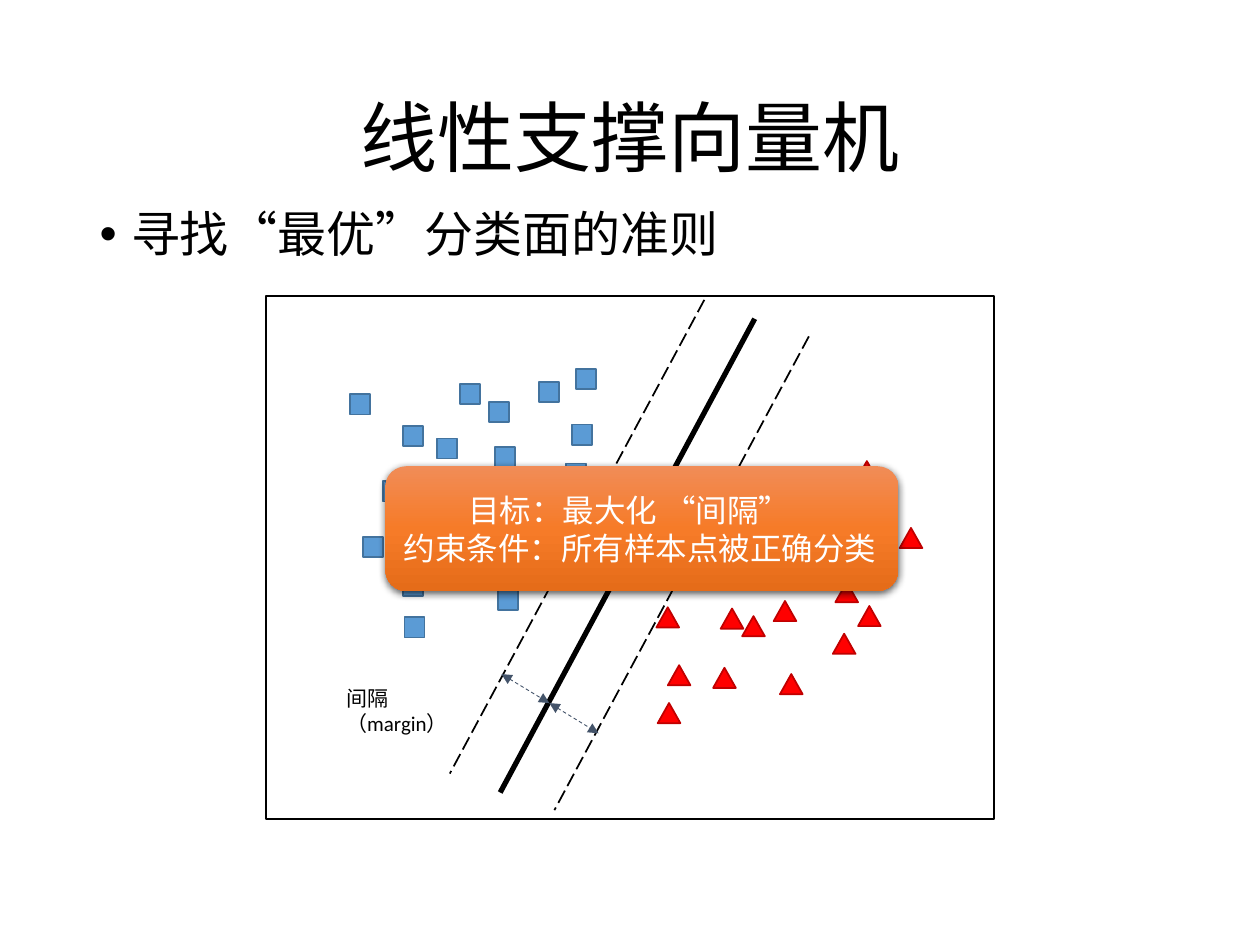
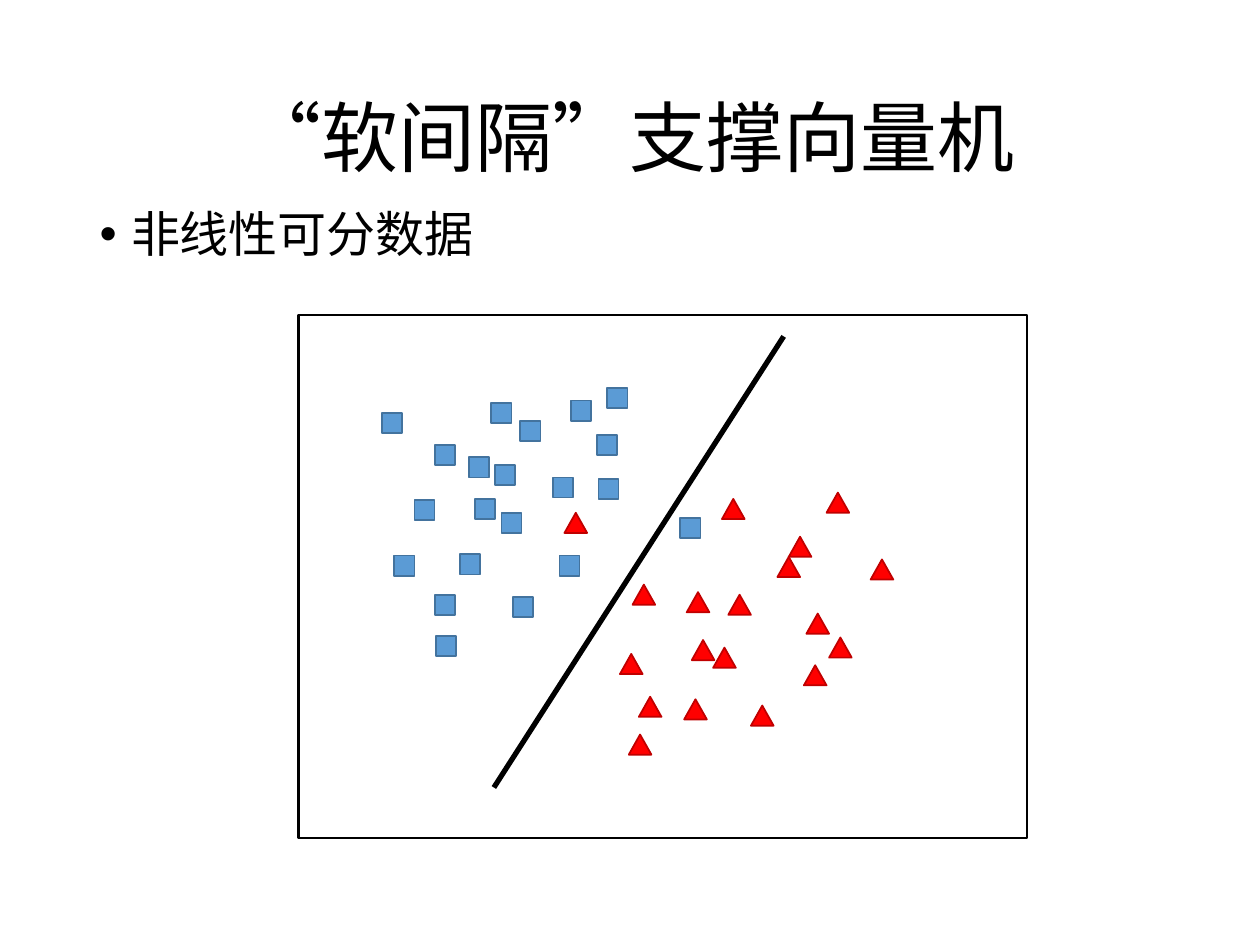
from lxml import etree
from pptx import Presentation, util as u
from pptx.dml.color import RGBColor
from pptx.enum import dml, shapes, text
from pptx.oxml import parse_xml
from pptx.oxml.ns import nsdecls, qn

PX = 9144  # 100 px to the inch
FONT = "Calibri"
BLACK, WHITE, SLATE = "000000", "FFFFFF", "44546A"
CALLOUT_STOPS = [(0, "F18C57"), (50, "F67B28"), (100, "E56C19")]

# Samples that keep their arrangement on both slides
SHARED_SQUARES = [
    (365, 305), (320, 338), (347, 348), (388, 319), (304, 382), (373, 392),
    (288, 426), (340, 425), (428, 303), (321, 490), (457, 293), (278, 313),
    (320, 457)]
SHARED_TRIANGLES = [
    (640, 417), (601, 447), (572, 483), (679, 366), (649, 401), (589, 489),
    (663, 462), (619, 535), (714, 419), (681, 481), (530, 528), (566, 530),
    (522, 558), (661, 503)]

SEPARABLE_SQUARES = [
    (355, 371), (395, 468), (415, 376), (449, 368), (403, 413), (393, 355),
    (454, 337), (430, 430)]
SEPARABLE_TRIANGLES = [
    (568, 393), (574, 437), (614, 477), (521, 482), (625, 371)]

MIXED_SQUARES = [
    (377, 396), (407, 474), (439, 379), (475, 380), (444, 441), (393, 369),
    (474, 345), (540, 411)]
MIXED_TRIANGLES = [
    (502, 464), (545, 470), (448, 407), (492, 519), (573, 396)]


def px(*lengths):
    return [u.Emu(length * PX) for length in lengths]


def colour(hex_code):
    return RGBColor.from_string(hex_code)


def style(paragraph, size, hex_code=BLACK):
    font = paragraph.font
    font.name, font.size = FONT, u.Pt(size)
    font.color.rgb = colour(hex_code)


def place(placeholder, left, top, width, height):
    placeholder.left, placeholder.top, placeholder.width, placeholder.height = px(
        left, top, width, height)


def add_topic_slide(prs, heading, point, body_height):
    slide = prs.slides.add_slide(prs.slide_layouts[1])
    title, body = slide.placeholders
    place(title, 69, 40, 862, 145)
    place(body, 69, 162, 862, body_height)
    title.text, body.text = heading, point
    title.text_frame.vertical_anchor = text.MSO_ANCHOR.MIDDLE

    heading_line, bullet = title.text_frame.paragraphs[0], body.text_frame.paragraphs[0]
    style(heading_line, 44)
    heading_line.alignment = text.PP_ALIGN.CENTER
    heading_line.line_spacing = bullet.line_spacing = 0.9
    style(bullet, 28)
    bullet.space_before = u.Pt(10)
    indent(bullet, 25, -25)
    return slide


def indent(paragraph, margin, first_line=0):
    properties = paragraph._p.get_or_add_pPr()
    properties.set("marL", str(margin * PX))
    properties.set("indent", str(first_line * PX))


def add_outlined(slide, preset, box, fill, line, weight):
    shape = slide.shapes.add_shape(preset, *px(*box))
    shape.shadow.inherit = False
    shape.fill.solid()
    shape.fill.fore_color.rgb = colour(fill)
    shape.line.color.rgb = colour(line)
    shape.line.width = u.Pt(weight)


def add_plot_frame(slide, left, top):
    add_outlined(slide, shapes.MSO_SHAPE.RECTANGLE, (left, top, 578, 415),
                 WHITE, BLACK, 1.5)


def add_squares(slide, points):
    for x, y in points:
        add_outlined(slide, shapes.MSO_SHAPE.RECTANGLE, (x, y, 16, 16),
                     "5B9BD5", "43739E", 1)


def add_triangles(slide, points):
    for x, y in points:
        add_outlined(slide, shapes.MSO_SHAPE.ISOSCELES_TRIANGLE, (x, y, 18, 16),
                     "FF0000", "C00000", 1)


def shifted(points, dx, dy):
    return [(x + dx, y + dy) for x, y in points]


def add_line(slide, start, end, weight, hex_code=BLACK, dash=None, arrows=False):
    connector = slide.shapes.add_connector(
        shapes.MSO_CONNECTOR.STRAIGHT, *px(*start, *end))
    connector.line.color.rgb = colour(hex_code)
    connector.line.width = u.Pt(weight)
    if dash:
        connector.line.dash_style = dash
    if arrows:
        outline = connector.line._get_or_add_ln()
        for end_tag in ("a:headEnd", "a:tailEnd"):
            etree.SubElement(outline, qn(end_tag), type="triangle")
    etree.SubElement(connector._element.spPr, qn("a:effectLst"))


def add_margin_label(slide):
    label = slide.shapes.add_textbox(*px(265, 539, 123, 30)).text_frame
    label.word_wrap = True
    label.auto_size = text.MSO_AUTO_SIZE.SHAPE_TO_FIT_TEXT
    label.text = "间隔（margin）"
    style(label.paragraphs[0], 12)


def add_gradient_and_shadow(shape):
    """Give the shape a vertical three-stop gradient and a soft drop shadow."""
    stops = "".join(
        f'<a:gs pos="{percent * 1000}"><a:srgbClr val="{hex_code}"/></a:gs>'
        for percent, hex_code in CALLOUT_STOPS)
    gradient = parse_xml(
        f'<a:gradFill {nsdecls("a")} rotWithShape="1"><a:gsLst>{stops}</a:gsLst>'
        '<a:lin ang="5400000" scaled="0"/></a:gradFill>')
    effects = parse_xml(
        f'<a:effectLst {nsdecls("a")}><a:outerShdw blurRad="{u.Pt(4.5)}" '
        f'dist="{u.Pt(1.5)}" dir="5400000" algn="ctr" rotWithShape="0">'
        f'<a:srgbClr val="{BLACK}"><a:alpha val="63000"/></a:srgbClr>'
        '</a:outerShdw></a:effectLst>')
    properties = shape._element.spPr
    properties.find(qn("a:prstGeom")).addnext(gradient)
    properties.append(effects)


def add_goal_callout(slide):
    callout = slide.shapes.add_shape(
        shapes.MSO_SHAPE.ROUNDED_RECTANGLE, *px(306, 370, 407, 99))
    callout.line.fill.background()
    add_gradient_and_shadow(callout)
    frame = callout.text_frame
    frame.word_wrap = True
    frame.vertical_anchor = text.MSO_ANCHOR.MIDDLE
    frame.text = "目标：最大化 “间隔”\n约束条件：所有样本点被正确分类"
    for paragraph in frame.paragraphs:
        style(paragraph, 18, WHITE)
        paragraph.alignment = text.PP_ALIGN.LEFT
    indent(frame.paragraphs[0], 51)


def add_margin_lines(slide):
    """Draw the separating line, its two parallel margins and the gap arrows."""
    run, rise = -202, 376
    for (x, y), weight, dash in [
            ((599, 253), 3, None),
            ((642, 267), 1, dml.MSO_LINE.LONG_DASH),
            ((559, 238), 1, dml.MSO_LINE.LONG_DASH)]:
        add_line(slide, (x, y), (x + run, y + rise), weight, dash=dash)
    left_edge, centre, right_edge = (398, 535), (436, 558), (475, 582)
    for start, end in [(left_edge, centre), (centre, right_edge)]:
        add_line(slide, start, end, 0.5, SLATE, dml.MSO_LINE.DASH, arrows=True)


def build_linear_slide(prs):
    slide = add_topic_slide(prs, "线性支撑向量机", "寻找“最优”分类面的准则", 476)
    add_plot_frame(slide, 211, 235)
    add_squares(slide, SHARED_SQUARES + SEPARABLE_SQUARES)
    add_triangles(slide, SHARED_TRIANGLES + SEPARABLE_TRIANGLES)
    add_margin_lines(slide)
    add_margin_label(slide)
    add_goal_callout(slide)


def build_soft_margin_slide(prs):
    slide = add_topic_slide(prs, "“软间隔”支撑向量机", "非线性可分数据", 54)
    add_plot_frame(slide, 237, 250)
    add_squares(slide, shifted(SHARED_SQUARES, 25, 15) + MIXED_SQUARES)
    add_triangles(slide, shifted(SHARED_TRIANGLES, -23, 25) + MIXED_TRIANGLES)
    add_line(slide, (622, 267), (392, 625), 3)


def main():
    prs = Presentation()
    prs.slide_width, prs.slide_height = px(1000, 750)
    build_linear_slide(prs)
    build_soft_margin_slide(prs)
    prs.save("out.pptx")


if __name__ == "__main__":
    main()
